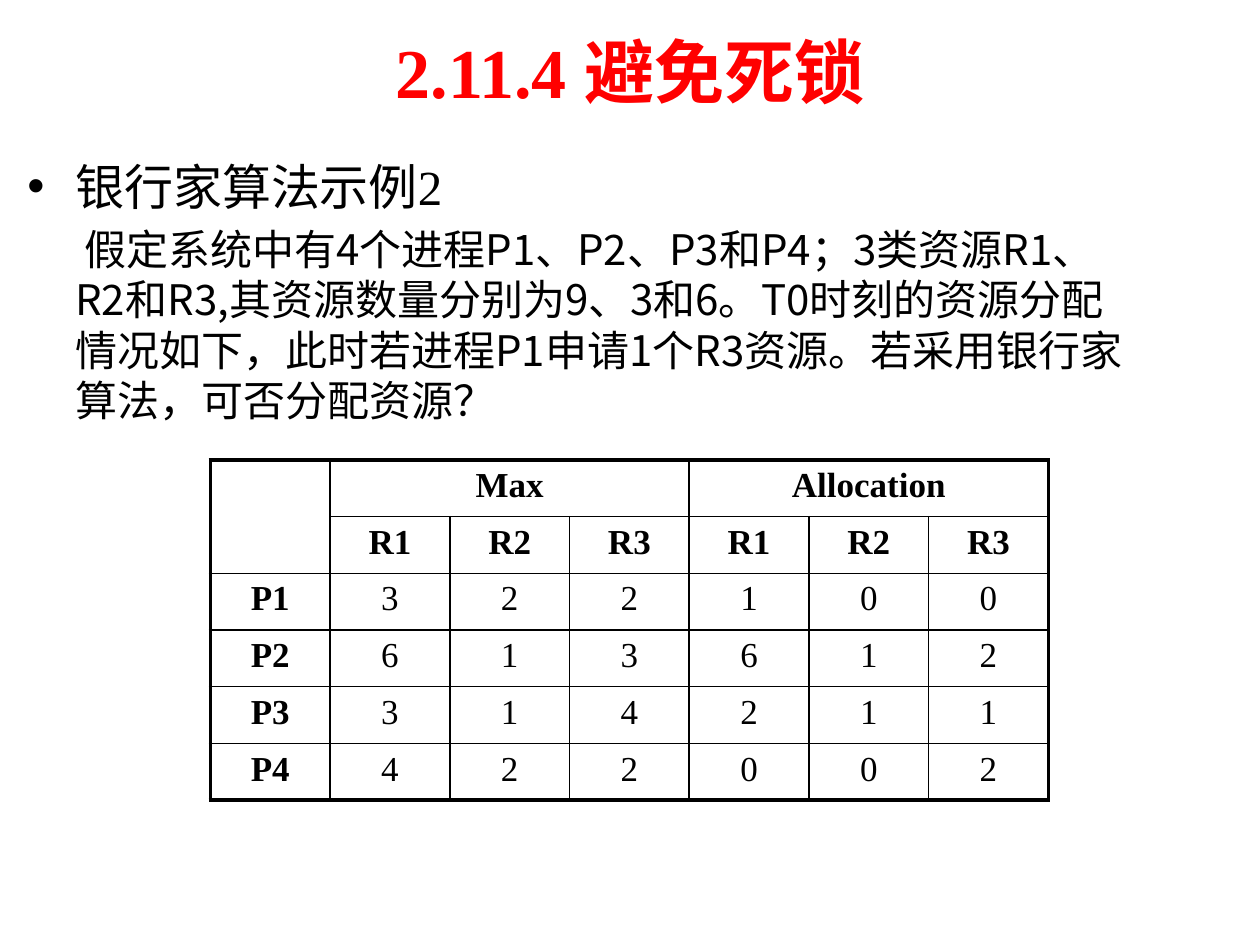
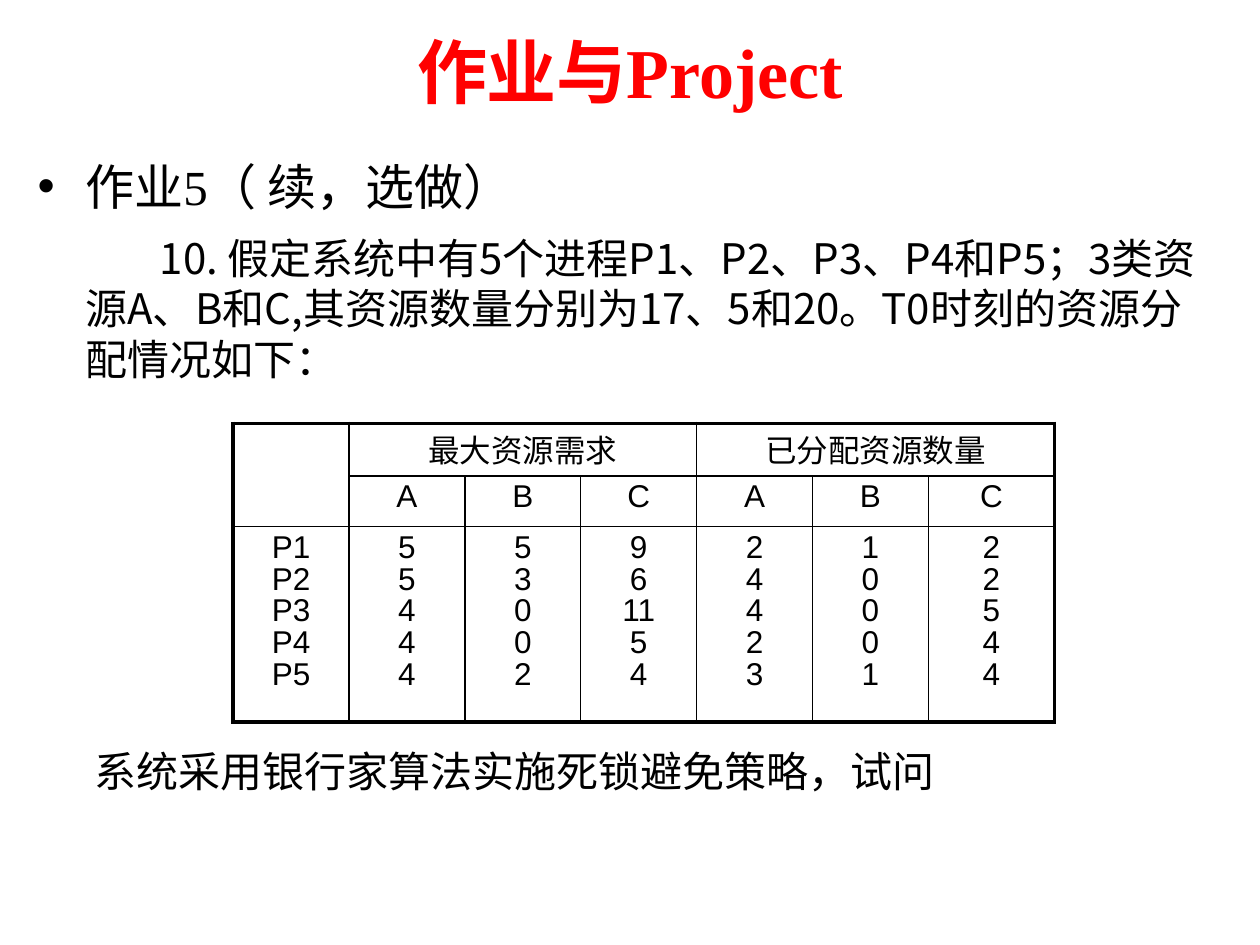
import pptx
import pptx.dml.color
import pptx.enum.text
import pptx.oxml
import pptx.oxml.ns
import pptx.util
from lxml import etree

Inches, Pt = pptx.util.Inches, pptx.util.Pt
ALIGN = pptx.enum.text.PP_ALIGN
ANCHOR = pptx.enum.text.MSO_ANCHOR

COLORS = {"title": "FF0000", "ink": "000000"}
SERIF, SANS, CHINESE = "Times New Roman", "Arial", "Noto Sans CJK SC"
HANG = 0.38
THIN, THICK = 1, 2.25

SLIDES = [
    {
        "title": "2.11.4 避免死锁",
        "body_at": (0.12, 1.15, 9, 2.3),
        "bullet": "银行家算法示例2",
        "question": "假定系统中有4个进程P1、P2、P3和P4；3类资源R1、R2和R3,其资源数量分别为9、3和6。"
                    "T0时刻的资源分配情况如下，此时若进程P1申请1个R3资源。若采用银行家算法，可否分配资源？",
        "first_line": 0.07,
        "gap": 4.8,
        "table": {
            "at": (1.67, 3.65), "columns": [0.95] * 7, "rows": [0.45] * 6,
            "font": SERIF, "size": 20, "spacing": 1.0, "bold_headings": True,
            "cells": [
                ["", "Max", "", "", "Allocation", "", ""],
                ["", "R1", "R2", "R3", "R1", "R2", "R3"],
                ["P1", "3", "2", "2", "1", "0", "0"],
                ["P2", "6", "1", "3", "6", "1", "2"],
                ["P3", "3", "1", "4", "2", "1", "1"],
                ["P4", "4", "2", "2", "0", "0", "2"],
            ],
        },
    },
    {
        "title": "作业与Project",
        "body_at": (0.2, 1.15, 9.6, 2),
        "bullet": "作业5（ 续，选做）",
        "question": "10. 假定系统中有5个进程P1、P2、P3、P4和P5；3类资源A、B和C,"
                    "其资源数量分别为17、5和20。T0时刻的资源分配情况如下：",
        "first_line": 0.59,
        "gap": 10,
        "closing": "系统采用银行家算法实施死锁避免策略，试问",
        "closing_at": (0.2, 5.87, 9.6, 0.5),
        "table": {
            "at": (1.85, 3.36), "columns": [0.92] * 6 + [1], "rows": [0.42, 0.38, 1.55],
            "font": SANS, "size": 18, "spacing": 0.9, "bold_headings": False,
            "cells": [
                ["", "最大资源需求", "", "", "已分配资源数量", "", ""],
                ["", "A", "B", "C", "A", "B", "C"],
                ["P1\nP2\nP3\nP4\nP5", "5\n5\n4\n4\n4", "5\n3\n0\n0\n2", "9\n6\n11\n5\n4",
                 "2\n4\n4\n2\n3", "1\n0\n0\n0\n1", "2\n2\n5\n4\n4"],
            ],
        },
    },
]


def add_run(para, text, font, size, color="ink", bold=False):
    span = para.add_run()
    span.text = text
    span.font.name, span.font.size, span.font.bold = font, Pt(size), bold
    span.font.color.rgb = pptx.dml.color.RGBColor.from_string(COLORS[color])
    east_asian = etree.SubElement(span.font._element, pptx.oxml.ns.qn("a:ea"))
    east_asian.set("typeface", CHINESE)


def indent(para, first_line, bullet=False):
    """Set the shared left margin, the first-line offset and an optional bullet."""
    properties = para._p.get_or_add_pPr()
    properties.set("marL", str(Inches(HANG)))
    properties.set("indent", str(Inches(first_line)))
    if bullet:
        etree.SubElement(properties, pptx.oxml.ns.qn("a:buFont")).set("typeface", SANS)
        etree.SubElement(properties, pptx.oxml.ns.qn("a:buChar")).set("char", "•")


def add_frame(page, at):
    frame = page.shapes.add_textbox(*map(Inches, at)).text_frame
    frame.word_wrap = True
    return frame


def write_question(para, text, first_line, gap=0):
    para.line_spacing, para.space_before = Pt(28.8), Pt(gap)
    indent(para, first_line)
    add_run(para, text, CHINESE, 24)


def add_title(page, text):
    title = page.shapes.title
    title.left, title.top, title.width, title.height = map(Inches, (0.5, 0.05, 9, 1.02))
    title.text_frame.vertical_anchor = ANCHOR.MIDDLE
    para = title.text_frame.paragraphs[0]
    para.alignment = ALIGN.CENTER
    add_run(para, text, SERIF, 40, "title", True)


def add_body(page, content):
    frame = add_frame(page, content["body_at"])
    heading = frame.paragraphs[0]
    heading.line_spacing = Pt(36.5)
    indent(heading, -HANG, bullet=True)
    add_run(heading, content["bullet"], SERIF, 28)
    write_question(frame.add_paragraph(), content["question"],
                   content["first_line"], content["gap"])
    if "closing" in content:
        closing = add_frame(page, content["closing_at"]).paragraphs[0]
        write_question(closing, content["closing"], 0.07)


def draw_borders(cell, row, column, row_count, column_count):
    """Thick lines on the outside of the table, thin ones inside it."""
    bottom = row + (cell.span_height if cell.is_merge_origin else 1)
    right = column + (cell.span_width if cell.is_merge_origin else 1)
    outer = {"L": column == 0, "R": right == column_count,
             "T": row == 0, "B": bottom == row_count}
    for side, is_outer in outer.items():
        if cell.is_spanned and not is_outer:
            continue
        width = Pt(THICK if is_outer else THIN)
        cell._tc.get_or_add_tcPr().append(pptx.oxml.parse_xml(
            f'<a:ln{side} {pptx.oxml.ns.nsdecls("a")} w="{width}"><a:solidFill>'
            f'<a:srgbClr val="{COLORS["ink"]}"/></a:solidFill></a:ln{side}>'))


def add_grid(page, spec_table):
    rows, columns = spec_table["rows"], spec_table["columns"]
    left, top = spec_table["at"]
    grid = page.shapes.add_table(
        len(rows), len(columns), Inches(left), Inches(top),
        Inches(sum(columns)), Inches(sum(rows))).table
    grid.first_row = grid.horz_banding = False
    for line, height in zip(grid.rows, rows):
        line.height = Inches(height)
    for line, width in zip(grid.columns, columns):
        line.width = Inches(width)
    for start, end in (((0, 0), (1, 0)), ((0, 1), (0, 3)), ((0, 4), (0, 6))):
        grid.cell(*start).merge(grid.cell(*end))

    for row, texts in enumerate(spec_table["cells"]):
        for column, text in enumerate(texts):
            cell = grid.cell(row, column)
            draw_borders(cell, row, column, len(rows), len(columns))
            cell.fill.background()
            if not text:
                continue
            bold = spec_table["bold_headings"] and (row < 2 or column == 0)
            for number, value in enumerate(text.split("\n")):
                frame = cell.text_frame
                para = frame.add_paragraph() if number else frame.paragraphs[0]
                para.alignment = ALIGN.CENTER
                para.line_spacing = spec_table["spacing"]
                add_run(para, value, spec_table["font"], spec_table["size"], bold=bold)


def main():
    deck = pptx.Presentation()
    deck.slide_width, deck.slide_height = Inches(10), Inches(7.5)
    title_only = deck.slide_layouts[5]
    for content in SLIDES:
        page = deck.slides.add_slide(title_only)
        add_title(page, content["title"])
        add_body(page, content)
        add_grid(page, content["table"])
    deck.save("out.pptx")


if __name__ == "__main__":
    main()
